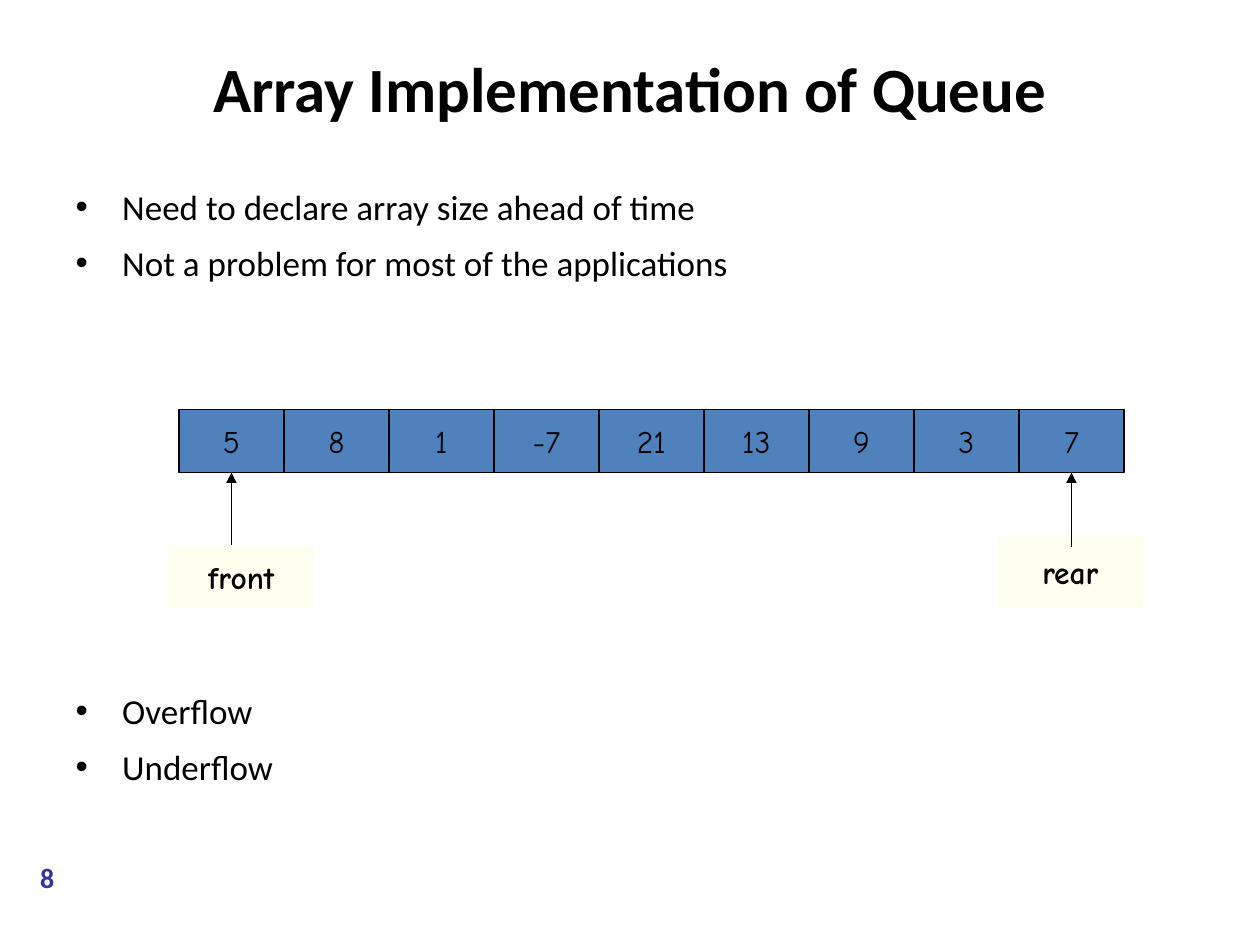
"""Build the slide on the array implementation of a queue."""
from pptx import Presentation
from pptx.dml.color import RGBColor
from pptx.enum.shapes import MSO_CONNECTOR, MSO_SHAPE
from pptx.enum.text import MSO_ANCHOR, MSO_AUTO_SIZE, PP_ALIGN
from pptx.oxml.ns import qn
from pptx.util import Inches, Pt
from lxml.etree import SubElement

COLORS = {"text": "000000", "cell": "4F81BD", "label": "FFFFEF",
          "white": "FFFFFF", "number": "333399"}


def set_text(para, text, size, font="Calibri", color="text", bold=False):
    para.text = text
    para.font.name = font
    para.font.size = Pt(size)
    para.font.bold = bold
    para.font.color.rgb = RGBColor.from_string(COLORS[color])


def add_box(text, left, top, width, height, fill, line, size=18, font="Comic Neue",
            color="text", bold=False, kind=MSO_SHAPE.RECTANGLE, weight=0.75):
    box = page.shapes.add_shape(kind, Inches(left), Inches(top), Inches(width), Inches(height))
    box.shadow.inherit = False
    box.fill.solid()
    box.fill.fore_color.rgb = RGBColor.from_string(COLORS[fill])
    box.line.color.rgb = RGBColor.from_string(COLORS[line])
    box.line.width = Pt(weight)
    frame = box.text_frame
    frame.word_wrap = False
    frame.vertical_anchor = MSO_ANCHOR.MIDDLE
    para = frame.paragraphs[0]
    para.alignment = PP_ALIGN.CENTER
    set_text(para, text, size, font, color, bold)
    return box


deck = Presentation()
deck.slide_width, deck.slide_height = Inches(10), Inches(7.5)
page = deck.slides.add_slide(deck.slide_layouts[1])

number = add_box("8", 0, 6.8, 0.75, 0.33, "white", "white", 16, "Calibri", "number",
                 True, MSO_SHAPE.OVAL, 2)
frame = number.text_frame
frame.margin_left = frame.margin_right = frame.margin_top = frame.margin_bottom = 0

title = page.shapes.title
title.left, title.top, title.width, title.height = Inches(0.5), Inches(0.3), Inches(9), Inches(0.78)
title.text_frame.auto_size = MSO_AUTO_SIZE.NONE
title.text_frame.vertical_anchor = MSO_ANCHOR.MIDDLE
heading = title.text_frame.paragraphs[0]
heading.alignment = PP_ALIGN.CENTER
set_text(heading, "Array Implementation of Queue", 36, bold=True)

body = page.placeholders[1]
body.left, body.top, body.width, body.height = Inches(0.5), Inches(1.42), Inches(9), Inches(5.28)
frame = body.text_frame
frame.auto_size = MSO_AUTO_SIZE.NONE
bullets = [("Need to declare array size ahead of time", 0),
           ("Not a problem for most of the applications", 8),
           ("Overflow", 232), ("Underflow", 8)]
for index, (text, gap) in enumerate(bullets):
    para = frame.paragraphs[0] if index == 0 else frame.add_paragraph()
    props = para._p.get_or_add_pPr()
    props.set("marL", str(Inches(0.37)))
    props.set("indent", str(-Inches(0.37)))
    para.space_before = Pt(gap)
    set_text(para, text, 20)

cell_width = 7.5 / 9
values = ["5", "8", "1", "-7", "21", "13", "9", "3", "7"]
cells = [add_box(value, 1.42 + index * cell_width, 3.25, cell_width, 0.5, "cell", "text")
         for index, value in enumerate(values)]

add_box("rear", 7.91, 4.25, 1.17, 0.58, "label", "white", bold=True)
for cell, start in [(cells[0], 4.67), (cells[-1], 4.34)]:
    middle = cell.left + cell.width // 2
    arrow = page.shapes.add_connector(MSO_CONNECTOR.STRAIGHT, middle, Inches(start),
                                      middle, Inches(3.75))
    arrow.end_connect(cell, 2)
    arrow.line.color.rgb = RGBColor.from_string(COLORS["text"])
    arrow.line.width = Pt(0.75)
    SubElement(arrow.line._get_or_add_ln(), qn("a:tailEnd"), type="triangle")
    SubElement(arrow._element.spPr, qn("a:effectLst"))
add_box("front", 1.33, 4.33, 1.17, 0.5, "label", "white", bold=True)

deck.save("out.pptx")
